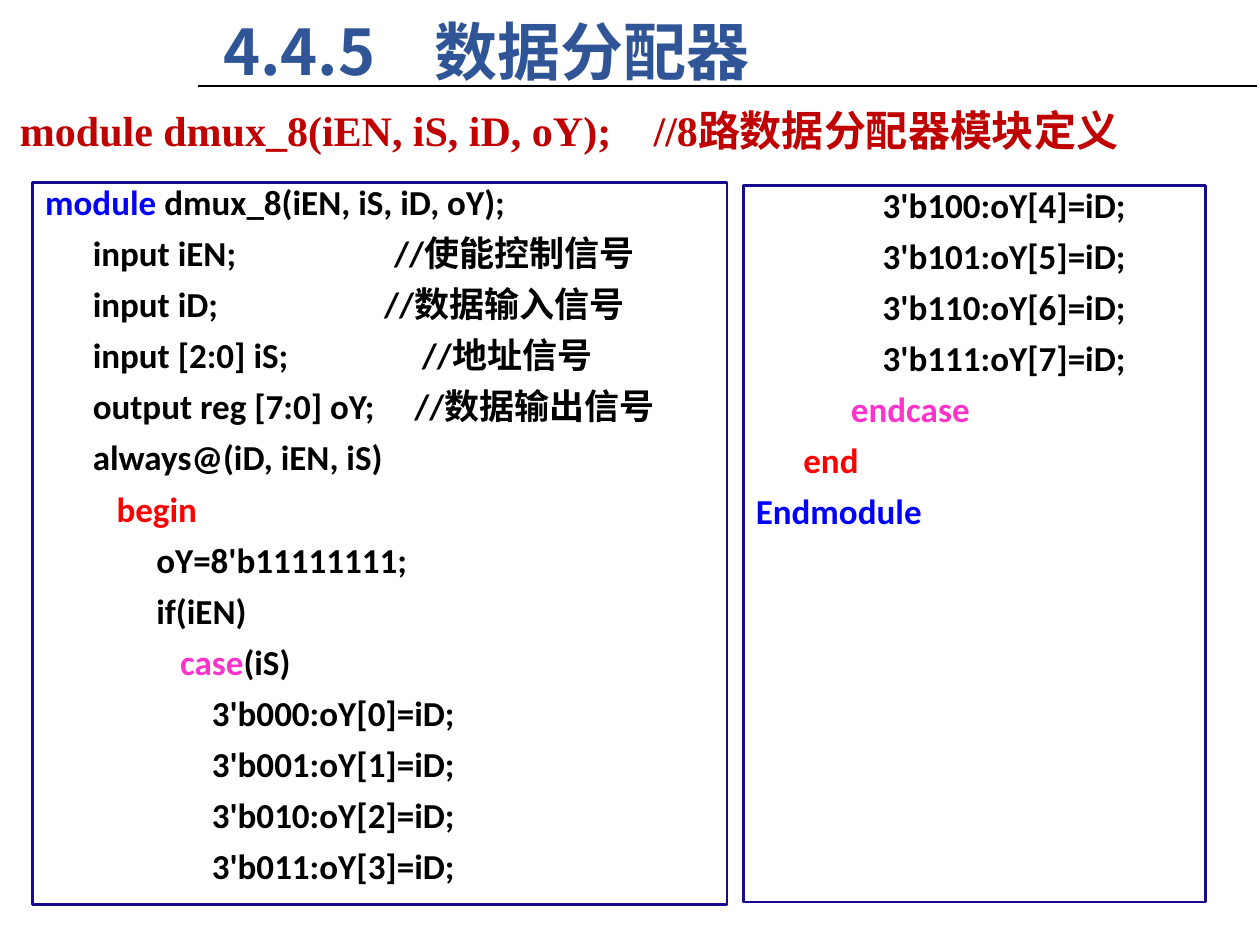
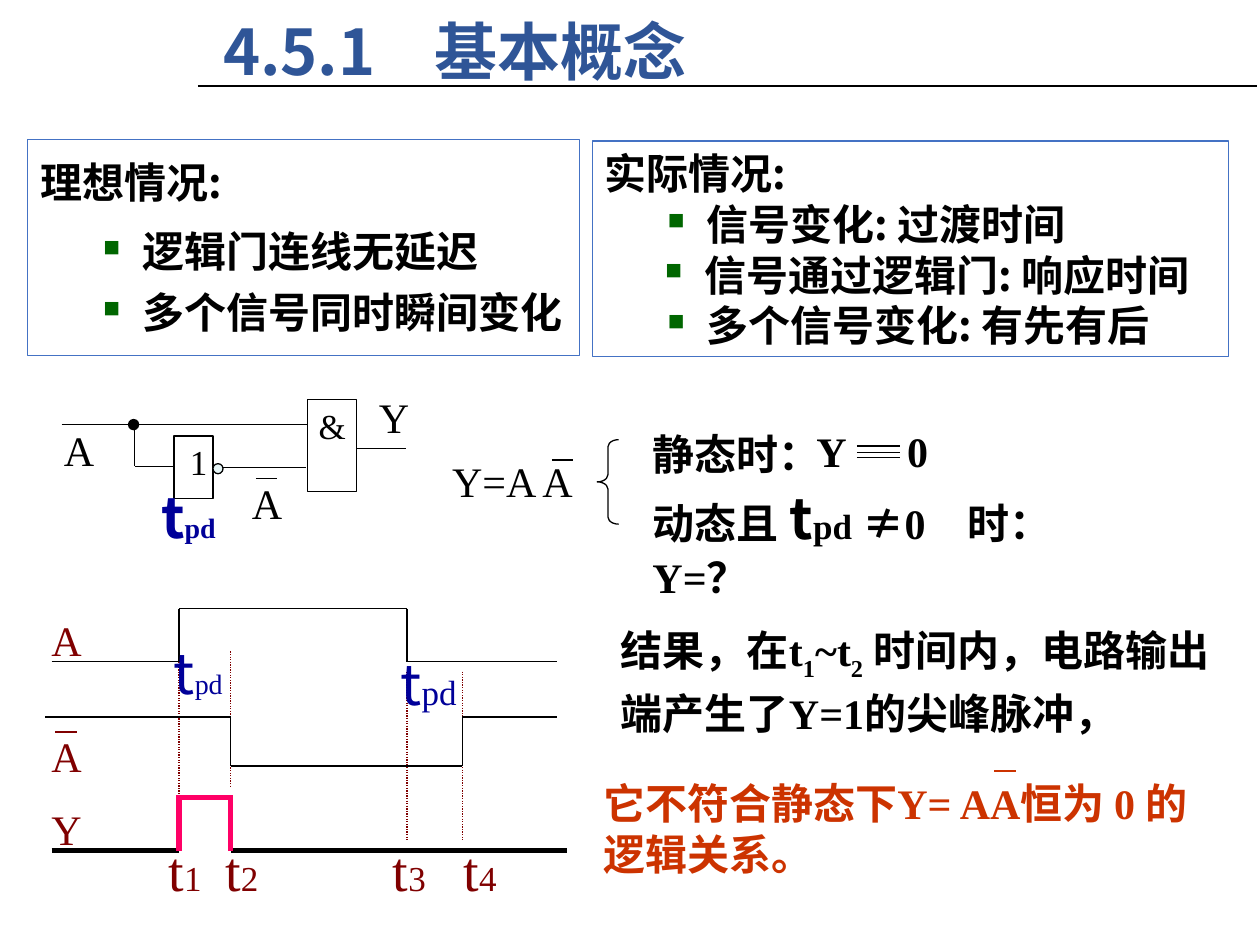
from lxml import etree
from pptx import Presentation
from pptx import util as u
from pptx.dml.color import RGBColor
from pptx.enum import dml, shapes, text
from pptx.oxml import ns

COLORS = {
    "black": "000000", "heading": "2F5597", "headline": "C00000", "code_frame": "170A8E",
    "module": "0000FF", "block": "FF0000", "case": "FF33CC", "frame": "4472C4",
    "bullet": "006600", "delay": "000099", "signal": "800000", "pulse": "FF0066",
    "warning": "CC3300", "bubble": "E6F5F6",
}
SANS, SERIF, CODE = "Noto Sans CJK SC", "Times New Roman", "Calibri"
SPACE = 0.063  # width of one code column, inches
DELAY_LINE = 40  # line height of text holding a large t, points


def rgb(name):
    return RGBColor.from_string(COLORS[name])


def add_xml(parent, tag, **attributes):
    return etree.SubElement(parent, ns.qn(tag), attributes)


def style_font(font, name=None, size=None, color=None, bold=None, subscript=False):
    if color:
        font.fill.solid()
        font.fill.fore_color.rgb = rgb(color)
    if size:
        font.size = u.Pt(size)
    if bold is not None:
        font.bold = bold
    if name:
        font.name = name
    if subscript:
        font._rPr.set("baseline", "-25000")


def write(paragraph, runs, name=SERIF, size=24, color="black", bold=False,
          line=None, before=0, after=0, tabs=(), bullet_indent=None):
    """Runs are strings, or (string, font changes) pairs."""
    paragraph.alignment = text.PP_ALIGN.LEFT
    paragraph.space_before, paragraph.space_after = u.Pt(before), u.Pt(after)
    if line:
        paragraph.line_spacing = u.Pt(line)
    properties = paragraph._p.get_or_add_pPr()
    if bullet_indent:
        properties.set("marL", str(u.Inches(bullet_indent)))
        properties.set("indent", str(u.Inches(-0.31)))
        add_xml(add_xml(properties, "a:buClr"), "a:srgbClr", val=COLORS["bullet"])
        add_xml(properties, "a:buSzPct", val="55000")
        add_xml(properties, "a:buChar", char="■")
    if tabs:
        stops = add_xml(properties, "a:tabLst")
        for stop in tabs:
            add_xml(stops, "a:tab", pos=str(u.Inches(stop)), algn="l")
    style_font(paragraph.font, name, size, color, bold)
    add_xml(paragraph.font._rPr, "a:ea", typeface=SANS)
    for piece in [runs] if isinstance(runs, str) else runs:
        content, changes = (piece, {}) if isinstance(piece, str) else piece
        run = paragraph.add_run()
        run.text = content
        style_font(run.font, **changes)


def paragraphs_of(frame, count):
    return [frame.paragraphs[0]] + [frame.add_paragraph() for _ in range(count - 1)]


def add_text(slide, left, top, width, height, runs, **style):
    box = slide.shapes.add_textbox(*map(u.Inches, (left, top, width, height)))
    box.text_frame.word_wrap = width >= 1
    write(box.text_frame.paragraphs[0], runs, **style)
    return box.text_frame


def add_outline(slide, left, top, width, height, color="black", weight=0.75,
                kind=shapes.MSO_SHAPE.RECTANGLE, fill=None):
    outline = slide.shapes.add_shape(kind, *map(u.Inches, (left, top, width, height)))
    outline.shadow.inherit = False
    if fill:
        outline.fill.solid()
        outline.fill.fore_color.rgb = rgb(fill)
    else:
        outline.fill.background()
    outline.line.color.rgb = rgb(color)
    outline.line.width = u.Pt(weight)
    outline.text_frame.vertical_anchor = text.MSO_ANCHOR.TOP
    outline.text_frame.word_wrap = True
    return outline


def add_lines(slide, left, top, points, color="black", weight=0.75, dash=None):
    """Join points, given relative to (left, top), with straight lines."""
    for start, end in zip(points, points[1:]):
        ends = (left + start[0], top + start[1], left + end[0], top + end[1])
        line = slide.shapes.add_connector(shapes.MSO_CONNECTOR.STRAIGHT, *map(u.Inches, ends))
        line.line.color.rgb = rgb(color)
        line.line.width = u.Pt(weight)
        if dash:
            line.line.dash_style = dash
        add_xml(line._element.spPr, "a:effectLst")


def add_negated(slide, left, top, color):
    """The letter A with a bar over it."""
    add_text(slide, left, top, 0.44, 0.5, "A", color=color)
    add_lines(slide, left, top, [(0.13, 0.06), (0.3, 0.06)], color)


def start_slide(deck, number, heading):
    slide = deck.slides.add_slide(deck.slide_layouts[5])
    title = slide.shapes.title
    title.left, title.top, title.width, title.height = map(u.Inches, (1.67, 0, 5.69, 0.71))
    title.text_frame.auto_size = text.MSO_AUTO_SIZE.NONE
    title.text_frame.vertical_anchor = text.MSO_ANCHOR.TOP
    write(title.text_frame.paragraphs[0], f"{number}\t{heading}", name=SANS, size=36,
          color="heading", bold=True, line=47, tabs=[1.68])
    add_lines(slide, 1.57, 0.68, [(0, 0), (8.41, 0)], weight=1.25)
    return slide


# Slide 1: Verilog listing
def code_panel(slide, left, top, width, height, lines):
    """Lines are (indent column, runs, optional comment position)."""
    frame = add_outline(slide, left, top, width, height, "code_frame", 1.5).text_frame
    for paragraph, (column, runs, *comment) in zip(paragraphs_of(frame, len(lines)), lines):
        runs = [runs] if isinstance(runs, (str, tuple)) else runs
        indent = ["\t"] if column else []
        stops = [column * SPACE] * bool(column) + comment
        write(paragraph, indent + runs, name=CODE, size=20, bold=True,
              line=19.2, before=10, tabs=stops)


def demultiplexer_slide(deck):
    slide = start_slide(deck, "4.4.5", "数据分配器")
    headline = add_text(slide, 0.06, 0.71, 9.2, 0.57,
                        "module dmux_8(iEN, iS, iD, oY);\t//8路数据分配器模块定义",
                        color="headline", bold=True, line=29, tabs=[5.03])
    headline.vertical_anchor = text.MSO_ANCHOR.BOTTOM

    def branches(column, numbers):
        return [(column, f"3'b{n:03b}:oY[{n}]=iD;") for n in numbers]

    code_panel(slide, 0.26, 1.45, 5.51, 5.73, [
        (0, [("module", {"color": "module"}), " dmux_8(iEN, iS, iD, oY);"]),
        (6, "input iEN;\t//使能控制信号", 2.77),
        (6, "input iD;\t//数据输入信号", 2.69),
        (6, "input [2:0] iS;\t//地址信号", 2.99),
        (6, "output reg [7:0] oY;\t//数据输出信号", 2.93),
        (6, "always@(iD, iEN, iS)"),
        (9, ("begin", {"color": "block"})),
        (14, "oY=8'b11111111;"),
        (14, "if(iEN)"),
        (17, [("case", {"color": "case"}), "(iS)"]),
        *branches(21, range(4)),
    ])
    code_panel(slide, 5.9, 1.47, 3.67, 5.69, [
        *branches(16, range(4, 8)),
        (12, ("endcase", {"color": "case"})),
        (6, ("end", {"color": "block"})),
        (0, ("Endmodule", {"color": "module"})),
    ])


# Slide 2: hazard concept
def case_panel(slide, left, top, width, height, heading, points, line, after=0):
    frame = add_outline(slide, left, top, width, height, "frame").text_frame
    first, *rest = paragraphs_of(frame, len(points) + 1)
    style = {"name": SANS, "bold": True, "line": line}
    write(first, heading, after=after, **style)
    for paragraph, (point, indent) in zip(rest, points):
        write(paragraph, point, bullet_indent=indent, **style)


def delay_label(slide, left, top, size, bold=False):
    add_text(slide, left, top, 0.7, 0.63,
             [("t", {"name": SANS, "size": 32}), ("pd", {"size": size})],
             color="delay", bold=bold, line=DELAY_LINE)


def gate_circuit(slide, left, top):
    wires = [
        [(0.09, 0.27), (2.04, 0.27)],
        [(0.67, 0.27), (0.67, 0.6), (0.98, 0.6)],
        [(1.36, 0.61), (2.03, 0.61)],
        [(2.43, 0.46), (2.82, 0.46)],
    ]
    for wire in wires:
        add_lines(slide, left, top, wire)
    # Gates, inverter bubble and junction
    add_outline(slide, left + 0.98, top + 0.36, 0.31, 0.5)
    add_outline(slide, left + 2.04, top + 0.07, 0.39, 0.73)
    for x, y, fill in [(1.29, 0.58, "bubble"), (0.62, 0.23, "black")]:
        add_outline(slide, left + x, top + y, 0.08, 0.08,
                    kind=shapes.MSO_SHAPE.OVAL, fill=fill)
    # Labels
    for x, y, width, label, size in [(0.01, 0.22, 0.44, "A", 24), (2.51, -0.04, 0.44, "Y", 24),
                                     (1.01, 0.35, 0.34, "1", 20), (2.03, 0.06, 0.42, "&", 20)]:
        add_text(slide, left + x, top + y, width, 0.5, label, size=size)
    add_negated(slide, left + 1.5, top + 0.64, "black")
    delay_label(slide, left + 0.78, top + 0.66, 16, bold=True)


def timing_diagram(slide, left, top):
    t1, t2, t3, t4 = 1.12, 1.53, 2.93, 3.37
    for x, start, end in [(t1, 0.45, 1.53), (t2, 0.37, 1.45), (t3, 0.53, 1.87), (t4, 0.53, 1.87)]:
        add_lines(slide, left, top, [(x, start), (x, end)], "signal",
                  dash=dml.MSO_LINE.ROUND_DOT)
    # Waveforms: (start x, idle level, active level, rise, fall)
    for start, idle, active, rise, fall in [(0.11, 0.45, 0.03, t1, t3), (0.06, 0.89, 1.28, t2, t4)]:
        add_lines(slide, left, top, [(start, idle), (rise, idle), (rise, active),
                                     (fall, active), (fall, idle), (4.12, idle)])
    # Output with its spike
    for x, end in [(0.11, t1), (t2, 4.2)]:
        add_lines(slide, left, top, [(x, 1.95), (end, 1.95)], weight=3)
    for spike in [[(t1, 1.95), (t1, 1.53)], [(t1 - 0.02, 1.53), (t2 + 0.02, 1.53)],
                  [(t2, 1.53), (t2, 1.95)]]:
        add_lines(slide, left, top, spike, "pulse", 3)
    # Labels
    add_text(slide, left + 0.01, top + 0.03, 0.44, 0.5, "A", color="signal")
    add_negated(slide, left + 0.01, top + 0.95, "signal")
    add_text(slide, left + 0.01, top + 1.53, 0.44, 0.5, "Y", color="signal")
    delay_label(slide, left + 0.98, top + 0.2, 16)
    delay_label(slide, left + 2.78, top + 0.28, 20)
    instants = []
    for number in "1234":
        instants += ["t" if number == "1" else "\tt", (number, {"size": 20})]
    add_text(slide, left + 0.94, top + 1.78, 3.2, 0.63, instants, size=32, color="signal",
             tabs=[0.45, 1.78, 2.34])


def output_equation(slide, left, top):
    add_text(slide, left, top + 0.25, 1.2, 0.5, "Y=A A")
    add_lines(slide, left, top, [(0.89, 0.33), (1.06, 0.33)])
    add_outline(slide, left + 1.25, top + 0.17, 0.17, 0.67,
                kind=shapes.MSO_SHAPE.LEFT_BRACE).adjustments[0] = 0.333
    # Static case, with an identity sign of three bars
    add_text(slide, left + 1.59, top + 0.03, 1.56, 0.5, "静态时：", bold=True, line=29)
    add_text(slide, left + 2.89, top + 0.01, 1.11, 0.5, "Y\t0", bold=True, tabs=[0.72])
    for y in (0.22, 0.27, 0.31):
        add_lines(slide, left, top, [(3.31, y), (3.65, y)])
    # Dynamic case
    frame = add_text(slide, left + 1.59, top + 0.45, 4.23, 1.06, [
        "动态且", (" ", {"size": 28}), ("t", {"name": SANS, "size": 32}), ("pd", {"size": 20}),
        " ", ("≠", {"name": SANS}), "0\t时：",
    ], bold=True, line=DELAY_LINE, tabs=[2.5])
    write(frame.add_paragraph(), "Y=？", bold=True, line=29)


def conclusion(slide, left, top):
    low = {"subscript": True}
    add_text(slide, left + 0.14, top, 4.89, 0.91, [
        "结果，在t", ("1", low), "~t", ("2", low), " 时间内，电路输出端产生了Y=1的尖峰脉冲，",
    ], bold=True, line=32)
    add_text(slide, left, top + 1.2, 4.89, 0.9, "它不符合静态下Y= AA恒为 0 的逻辑关系。",
             color="warning", bold=True, line=29)
    add_lines(slide, left, top, [(3.2, 1.2), (3.37, 1.2)], "warning")


def concept_slide(deck):
    slide = start_slide(deck, "4.5.1", "基本概念")
    case_panel(slide, 0.22, 1.11, 4.38, 1.71, "理想情况:", [
        ("逻辑门连线无延迟", 0.81), ("多个信号同时瞬间变化", 0.81),
    ], line=34.8, after=4.8)
    case_panel(slide, 4.7, 1.12, 5.05, 1.71, "实际情况:", [
        ("信号变化: 过渡时间", 0.81), ("信号通过逻辑门: 响应时间", 0.79),
        ("多个信号变化: 有先有后", 0.81),
    ], line=29)
    gate_circuit(slide, 0.4, 3.1)
    output_equation(slide, 3.49, 3.32)
    timing_diagram(slide, 0.3, 4.8)
    conclusion(slide, 4.69, 4.92)


def main():
    deck = Presentation()
    deck.slide_width, deck.slide_height = u.Inches(10), u.Inches(7.5)
    demultiplexer_slide(deck)
    concept_slide(deck)
    deck.save("out.pptx")


if __name__ == "__main__":
    main()
